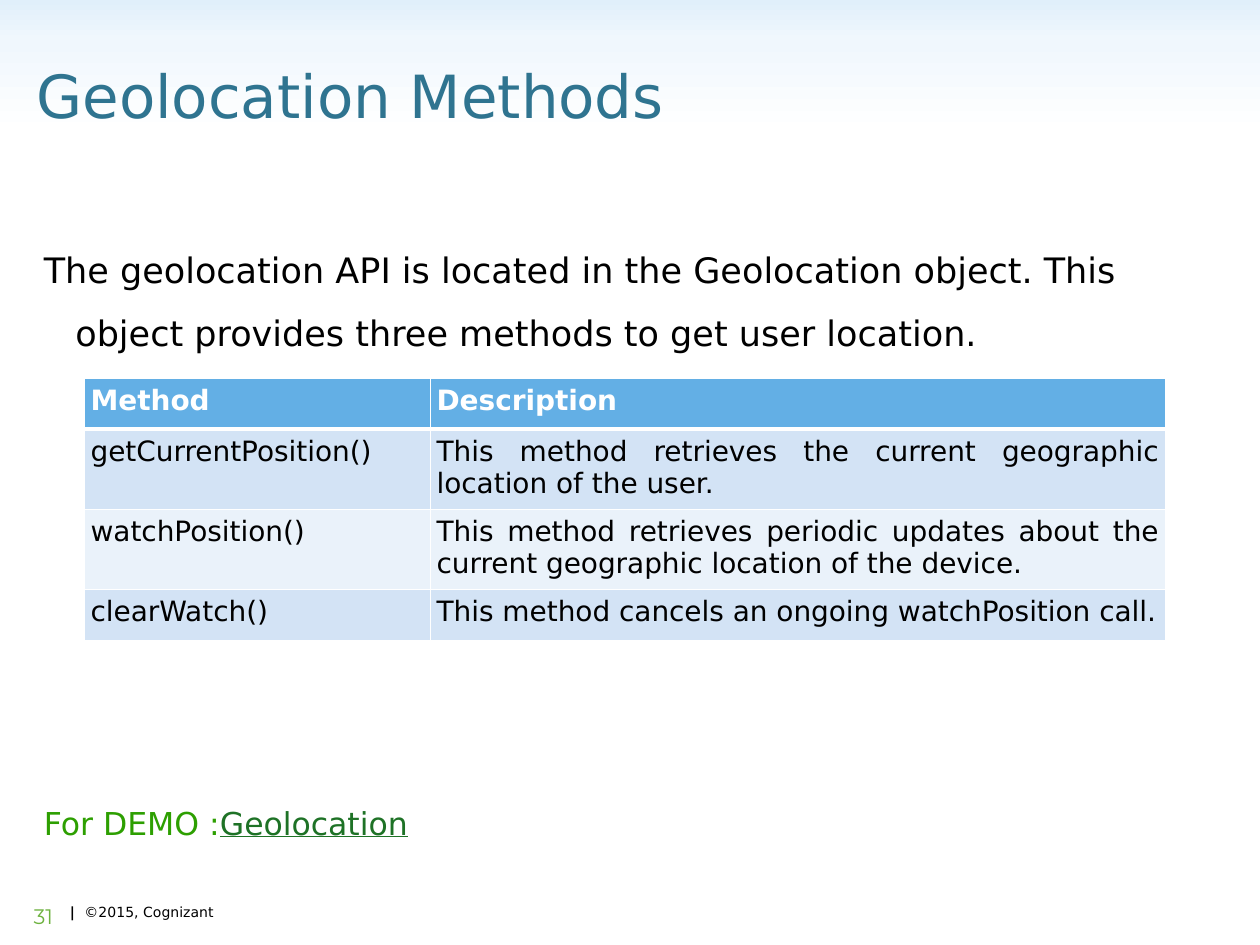
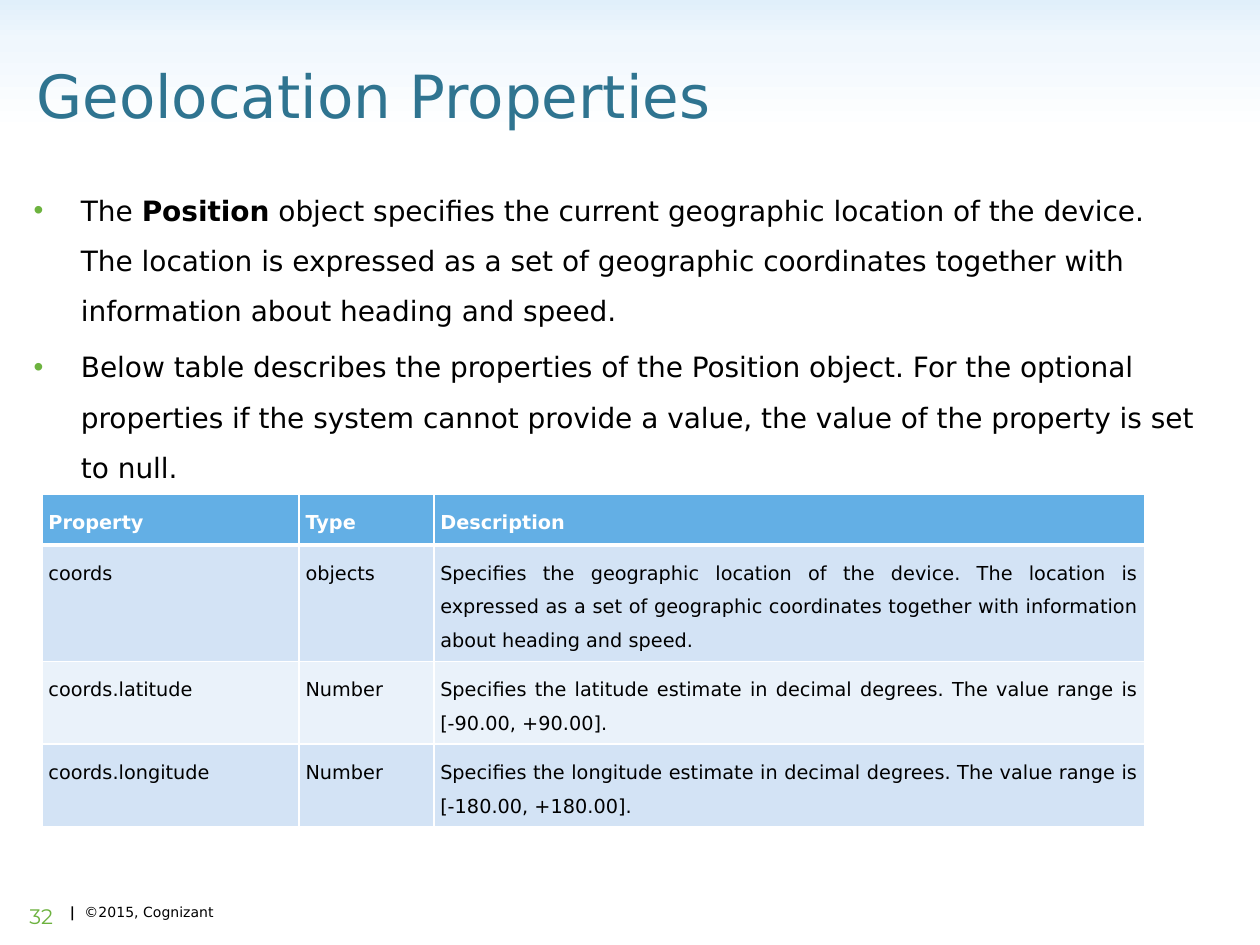
from copy import deepcopy

from lxml.etree import SubElement
from pptx import Presentation
from pptx.dml.color import RGBColor
from pptx.enum.shapes import MSO_SHAPE
from pptx.enum.text import MSO_ANCHOR, MSO_AUTO_SIZE, PP_ALIGN
from pptx.oxml.ns import qn
from pptx.util import Pt

WHITE = RGBColor(0xFF, 0xFF, 0xFF)
BLACK = RGBColor(0x00, 0x00, 0x00)
TITLE_BLUE = RGBColor(0x2F, 0x74, 0x90)
NUMBER_GREEN = RGBColor(0x6D, 0xB2, 0x3F)
DEMO_GREEN = RGBColor(0x2D, 0x9F, 0x01)
LINK_GREEN = RGBColor(0x1E, 0x72, 0x26)
HEADER_BLUE = RGBColor(0x63, 0xAF, 0xE5)
ROW_FILLS = (RGBColor(0xD3, 0xE3, 0xF5), RGBColor(0xEA, 0xF2, 0xFA))
BAND_STOPS = (
    (0, RGBColor(0xE0, 0xEF, 0xFA)),
    (0.25, RGBColor(0xF0, 0xF7, 0xFD)),
    (0.84, WHITE),
)
BULLET_COLOR = "6DB33F"
TEXT_FONT = "DejaVu Sans"
NUMBER_FONT = "Montserrat"
SLIDE_WIDTH, SLIDE_HEIGHT = 720, 540
TITLE_BOX = (13.7, 30.2, 594, 84.2)
BAND_BOX = (0, 0, SLIDE_WIDTH, 91.4)
FOOTER_BOX = (32.8, 504, 389.8, 18)
NUMBER_BOX = (1.4, 511.2, 36, 36)


def add_run(paragraph, text, size, color, bold=False, font=TEXT_FONT, underline=False):
    """Append one formatted run to a paragraph."""
    run = paragraph.add_run()
    run.text = text
    run.font.name = font
    run.font.size = Pt(size)
    run.font.color.rgb = color
    run.font.bold = bold
    run.font.underline = underline


def add_text_box(slide, box):
    """Add a wrapping text box and return its text frame."""
    frame = slide.shapes.add_textbox(*map(Pt, box)).text_frame
    frame.word_wrap = True
    return frame


def set_hanging_indent(paragraph, indent):
    """Indent all lines of a paragraph but the first."""
    properties = paragraph._p.get_or_add_pPr()
    properties.set("marL", str(Pt(indent)))
    properties.set("indent", str(-Pt(indent)))
    return properties


def add_band(slide, box):
    """Place the fading band behind everything else."""
    band = slide.shapes.add_shape(MSO_SHAPE.RECTANGLE, *map(Pt, box))
    band.shadow.inherit = False
    band.line.fill.background()
    band.fill.gradient()
    band.fill.gradient_angle = 270
    first_stop = band.element.xpath(".//a:gs")[0]
    first_stop.addnext(deepcopy(first_stop))
    for stop, (position, color) in zip(band.fill.gradient_stops, BAND_STOPS):
        stop.position = position
        stop.color.rgb = color
    slide.shapes.element.insert(2, band.element)


def add_title(slide, box, text):
    """Move and format the title placeholder."""
    title = slide.shapes.title
    title.left, title.top, title.width, title.height = map(Pt, box)
    frame = title.text_frame
    frame.auto_size = MSO_AUTO_SIZE.NONE
    frame.vertical_anchor = MSO_ANCHOR.TOP
    paragraph = frame.paragraphs[0]
    paragraph.alignment = PP_ALIGN.LEFT
    add_run(paragraph, text, 34, TITLE_BLUE)


def add_footer(slide, box, number_box, number):
    """Add the copyright line and the slide number."""
    paragraph = add_text_box(slide, box).paragraphs[0]
    paragraph.line_spacing = 1.9
    tabs = SubElement(paragraph._p.get_or_add_pPr(), qn("a:tabLst"))
    SubElement(tabs, qn("a:tab"), pos=str(Pt(8.4)), algn="l")
    add_run(paragraph, "|\t", 8, BLACK, bold=True)
    add_run(paragraph, "©2015, Cognizant", 8, BLACK)

    paragraph = add_text_box(slide, number_box).paragraphs[0]
    paragraph.alignment = PP_ALIGN.RIGHT
    paragraph.line_spacing = 1.1
    add_run(paragraph, str(number), 12, NUMBER_GREEN, font=NUMBER_FONT)


def add_body(slide, box, paragraphs, size, indent, bulleted=False):
    """Add hanging paragraphs, each a list of (text, bold) runs."""
    frame = add_text_box(slide, box)
    for index, runs in enumerate(paragraphs):
        paragraph = frame.add_paragraph() if index else frame.paragraphs[0]
        paragraph.line_spacing = 1.5
        if index:
            paragraph.space_before = Pt(size * 0.2)
        properties = set_hanging_indent(paragraph, indent)
        if bulleted:
            bullet_color = SubElement(properties, qn("a:buClr"))
            SubElement(bullet_color, qn("a:srgbClr"), val=BULLET_COLOR)
            SubElement(properties, qn("a:buFont"), typeface="Arial")
            SubElement(properties, qn("a:buChar"), char="•")
        for text, bold in runs:
            add_run(paragraph, text, size, BLACK, bold)


def set_borders(cell, row_index):
    """Draw white cell borders, heavier below the header row."""
    widths = {"L": 1, "R": 1, "T": 3 if row_index == 1 else 1, "B": 1 if row_index else 3}
    properties = cell._tc.get_or_add_tcPr()
    for side, width in widths.items():
        line = SubElement(properties, qn(f"a:ln{side}"), w=str(Pt(width)))
        fill = SubElement(line, qn("a:solidFill"))
        SubElement(fill, qn("a:srgbClr"), val=str(WHITE))


def add_method_table(slide, left, top, widths, heights, rows, size, line_spacing):
    """Add a banded table whose last column is justified."""
    box = (left, top, sum(widths), sum(heights))
    table = slide.shapes.add_table(len(rows), len(widths), *map(Pt, box)).table
    for column, width in zip(table.columns, widths):
        column.width = Pt(width)
    for row_index, (height, texts) in enumerate(zip(heights, rows)):
        table.rows[row_index].height = Pt(height)
        is_header = row_index == 0
        for column_index, text in enumerate(texts):
            cell = table.cell(row_index, column_index)
            set_borders(cell, row_index)
            cell.fill.solid()
            cell.fill.fore_color.rgb = HEADER_BLUE if is_header else ROW_FILLS[(row_index - 1) % 2]
            cell.margin_left = cell.margin_right = Pt(3.6)
            cell.margin_top = cell.margin_bottom = Pt(3.6)
            paragraph = cell.text_frame.paragraphs[0]
            paragraph.line_spacing = line_spacing
            if not is_header and column_index == len(widths) - 1:
                paragraph.alignment = PP_ALIGN.JUSTIFY
            add_run(paragraph, text, size, WHITE if is_header else BLACK, is_header)


def add_demo_line(slide, box):
    """Add the line that names the demo."""
    paragraph = add_text_box(slide, box).paragraphs[0]
    add_run(paragraph, "For DEMO :", 18, DEMO_GREEN)
    add_run(paragraph, "Geolocation", 18, LINK_GREEN, underline=True)


def add_base_slide(presentation, title, number):
    """Add a title-only slide with the shared band, title and footer."""
    slide = presentation.slides.add_slide(presentation.slide_layouts[5])
    add_band(slide, BAND_BOX)
    add_title(slide, TITLE_BOX, title)
    add_footer(slide, FOOTER_BOX, NUMBER_BOX, number)
    return slide


def build_methods_slide(presentation):
    """Build the slide on geolocation methods."""
    slide = add_base_slide(presentation, "Geolocation Methods", 31)
    introduction = (
        "The geolocation API is located in the Geolocation object. "
        "This object provides three methods to get user location."
    )
    add_body(slide, (18, 126.7, 684, 389.5), [[(introduction, False)]], 20, 18)
    rows = [
        ("Method", "Description"),
        ("getCurrentPosition()",
         "This method retrieves the current geographic location of the user."),
        ("watchPosition()",
         "This method retrieves periodic updates about the current geographic "
         "location of the device."),
        ("clearWatch()", "This method cancels an ongoing watchPosition call."),
    ]
    add_method_table(slide, 48.2, 216, (197.7, 420.3), (29.2, 45.9, 45.9, 29.2), rows, 16, 1.0)
    add_demo_line(slide, (18, 455.8, 702, 28.8))


def build_properties_slide(presentation):
    """Build the slide on geolocation properties."""
    slide = add_base_slide(presentation, "Geolocation Properties", 32)
    paragraphs = [
        [
            ("The ", False),
            ("Position", True),
            (" object specifies the current geographic location of the device. "
             "The location is expressed as a set of geographic coordinates "
             "together with information about heading and speed.", False),
        ],
        [
            ("Below table describes the properties of the Position object. "
             "For the optional properties if the system cannot provide a value, "
             "the value of the property is set to null.", False),
        ],
    ]
    add_body(slide, (12.2, 97.2, 684, 389.5), paragraphs, 16, 27, bulleted=True)
    rows = [
        ("Property", "Type", "Description"),
        ("coords", "objects",
         "Specifies the geographic location of the device. The location is "
         "expressed as a set of geographic coordinates together with "
         "information about heading and speed."),
        ("coords.latitude", "Number",
         "Specifies the latitude estimate in decimal degrees. "
         "The value range is [-90.00, +90.00]."),
        ("coords.longitude", "Number",
         "Specifies the longitude estimate in decimal degrees. "
         "The value range is [-180.00, +180.00]."),
    ]
    add_method_table(slide, 24.1, 282.2, (146.9, 77, 406.1), (29.2, 66.4, 47.2, 47.2), rows, 11, 1.5)


def main():
    """Build and save the presentation."""
    presentation = Presentation()
    presentation.slide_width = Pt(SLIDE_WIDTH)
    presentation.slide_height = Pt(SLIDE_HEIGHT)
    build_methods_slide(presentation)
    build_properties_slide(presentation)
    presentation.save("out.pptx")


if __name__ == "__main__":
    main()
